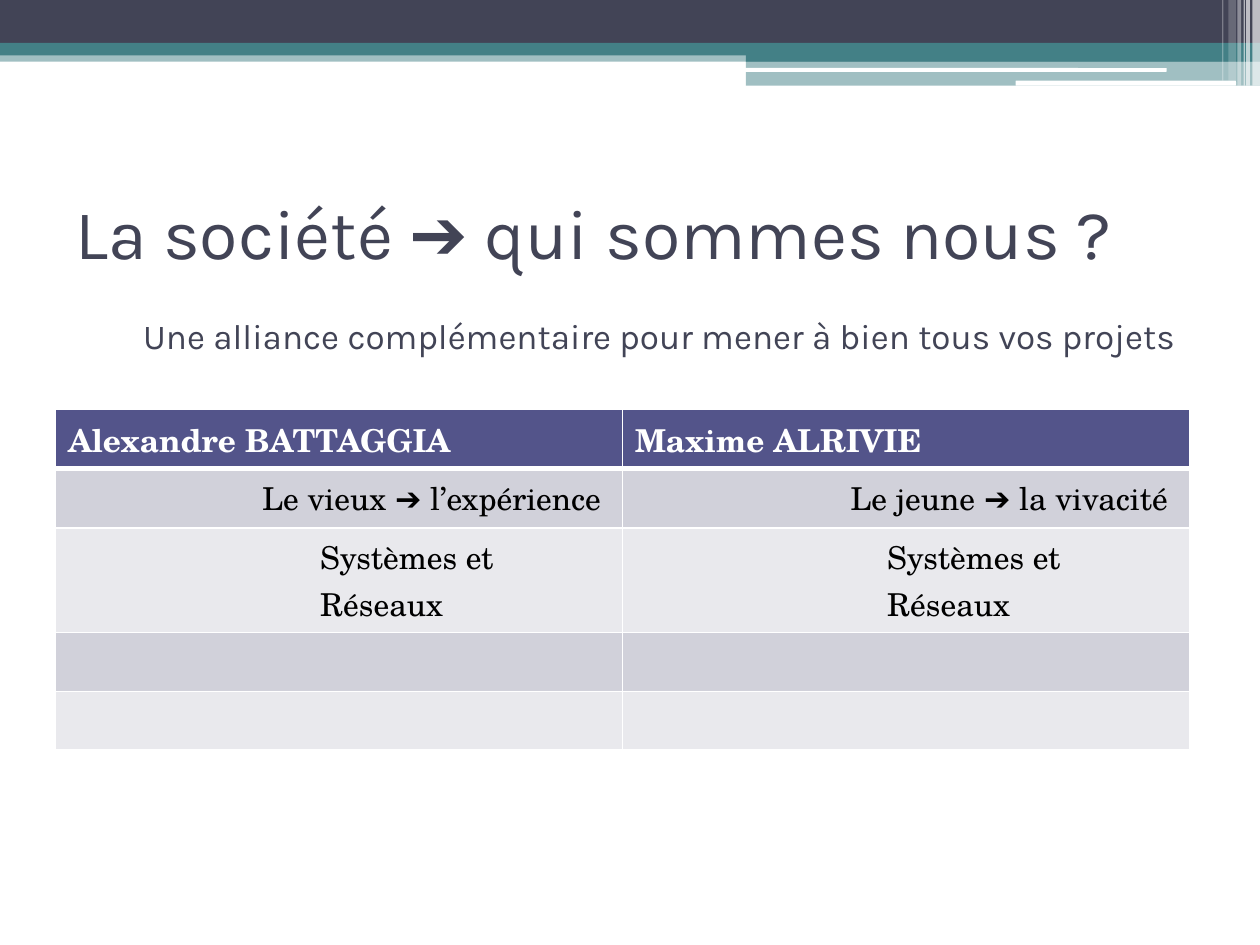
"""Build the company introduction slide with its partner table."""
from lxml import etree
from pptx import Presentation
from pptx.dml.color import RGBColor
from pptx.enum.shapes import MSO_SHAPE
from pptx.enum.text import MSO_ANCHOR, PP_ALIGN
from pptx.oxml.ns import qn
from pptx.util import Inches, Pt

RECT = MSO_SHAPE.RECTANGLE
ROUND = MSO_SHAPE.ROUNDED_RECTANGLE
LEFT, RIGHT = PP_ALIGN.LEFT, PP_ALIGN.RIGHT
MIDDLE = MSO_ANCHOR.MIDDLE
WHITE, BLACK, DARK, TEAL = "FFFFFF", "000000", "424456", "438086"
HEAD, BANDS = "53548A", ("D1D1DA", "E9E9ED")


def color(code):
    return RGBColor.from_string(code)


class Deck:
    sans = "Karla"
    serif = "TeX Gyre Schola"

    def __init__(self, show):
        self.slide = show.slides.add_slide(show.slide_layouts[6])

    def bar(self, box, fill, alpha=100, kind=RECT):
        shape = self.slide.shapes.add_shape(kind, *map(Inches, box))
        shape.shadow.inherit = False
        shape.line.fill.background()
        shape.fill.solid()
        shape.fill.fore_color.rgb = color(fill)
        if alpha < 100:
            tone = shape.element.spPr.find(".//" + qn("a:srgbClr"))
            etree.SubElement(tone, qn("a:alpha"), val=str(alpha * 1000))

    def run(self, para, text, font, size, tone, bold=False, align=LEFT):
        para.alignment = align
        run = para.add_run()
        run.text = text
        run.font.name = font
        run.font.size = Pt(size)
        run.font.bold = bold
        run.font.color.rgb = color(tone)

    def text(self, box, text, size, align=LEFT):
        frame = self.slide.shapes.add_textbox(*map(Inches, box)).text_frame
        frame.word_wrap = True
        frame.vertical_anchor = MIDDLE
        self.run(frame.paragraphs[0], text, self.sans, size, DARK, align=align)

    def edge(self, cell, widths):
        props = cell._tc.get_or_add_tcPr()
        for side, width in zip("LRTB", widths):
            line = etree.SubElement(props, qn("a:ln" + side), w=str(Pt(width)))
            fill = etree.SubElement(line, qn("a:solidFill"))
            etree.SubElement(fill, qn("a:srgbClr"), val=WHITE)

    def cell(self, cell, row, text, align, indent):
        self.edge(cell, (1, 1, 3 if row == 1 else 1, 3 if row == 0 else 1))
        cell.fill.solid()
        cell.fill.fore_color.rgb = color(BANDS[(row - 1) % 2] if row else HEAD)
        if text:
            para = cell.text_frame.paragraphs[0]
            tone = BLACK if row else WHITE
            self.run(para, text, self.serif, 18, tone, row == 0, align)
            if indent:
                props = para._p.get_or_add_pPr()
                props.set("marL", str(Inches(indent)))
                props.set("indent", "0")

    def table(self, box, rows):
        count = len(rows[0][1])
        frame = self.slide.shapes.add_table(len(rows), count, *map(Inches, box))
        grid = frame.table
        for row, (high, texts, align, indent) in enumerate(rows):
            grid.rows[row].height = Inches(high)
            for col, text in enumerate(texts):
                self.cell(grid.cell(row, col), row, text, align, indent)


def main():
    show = Presentation()
    show.slide_width, show.slide_height = Inches(10), Inches(7.5)
    deck = Deck(show)

    deck.bar((0, 0.4, 10, 0.09), TEAL, 50)
    deck.bar((0, 0, 10, 0.34), DARK)
    deck.bar((0, 0.34, 10, 0.1), TEAL)
    deck.bar((5.92, 0.39, 4.08, 0.1), TEAL)
    deck.bar((5.92, 0.48, 4.08, 0.2), TEAL, 50)
    deck.bar((5.91, 0.54, 3.35, 0.03), WHITE, kind=ROUND)
    deck.bar((8.06, 0.64, 1.75, 0.04), WHITE, kind=ROUND)
    stripes = (
        (9.94, 0.06, 0.68, 65), (9.89, 0.03, 0.68, 65), (9.87, 0.01, 0.68, 60),
        (9.82, 0.03, 0.68, 40), (9.75, 0.06, 0.64, 20), (9.7, 0.01, 0.64, 30),
    )
    for left, wide, high, alpha in stripes:
        deck.bar((left, 0, wide, high), WHITE, alpha)

    deck.text((0.5, 1.25, 9, 1.17), "La société ➔ qui sommes nous ?", 40)
    deck.table((0.44, 3.25, 9, 2.7), (
        (0.47, ("Alexandre BATTAGGIA", "Maxime ALRIVIE"), LEFT, 0),
        (0.47, ("Le vieux ➔ l’expérience ", "Le jeune ➔ la vivacité "), RIGHT, 0),
        (0.83, ("Systèmes et Réseaux",) * 2, LEFT, 2),
        (0.47, ("", ""), LEFT, 0),
        (0.46, ("", ""), LEFT, 0),
    ))
    deck.text(
        (0.5, 2.08, 9, 1.17),
        "Une alliance complémentaire pour mener à bien tous vos projets ",
        20, RIGHT,
    )
    show.save("out.pptx")


if __name__ == "__main__":
    main()
